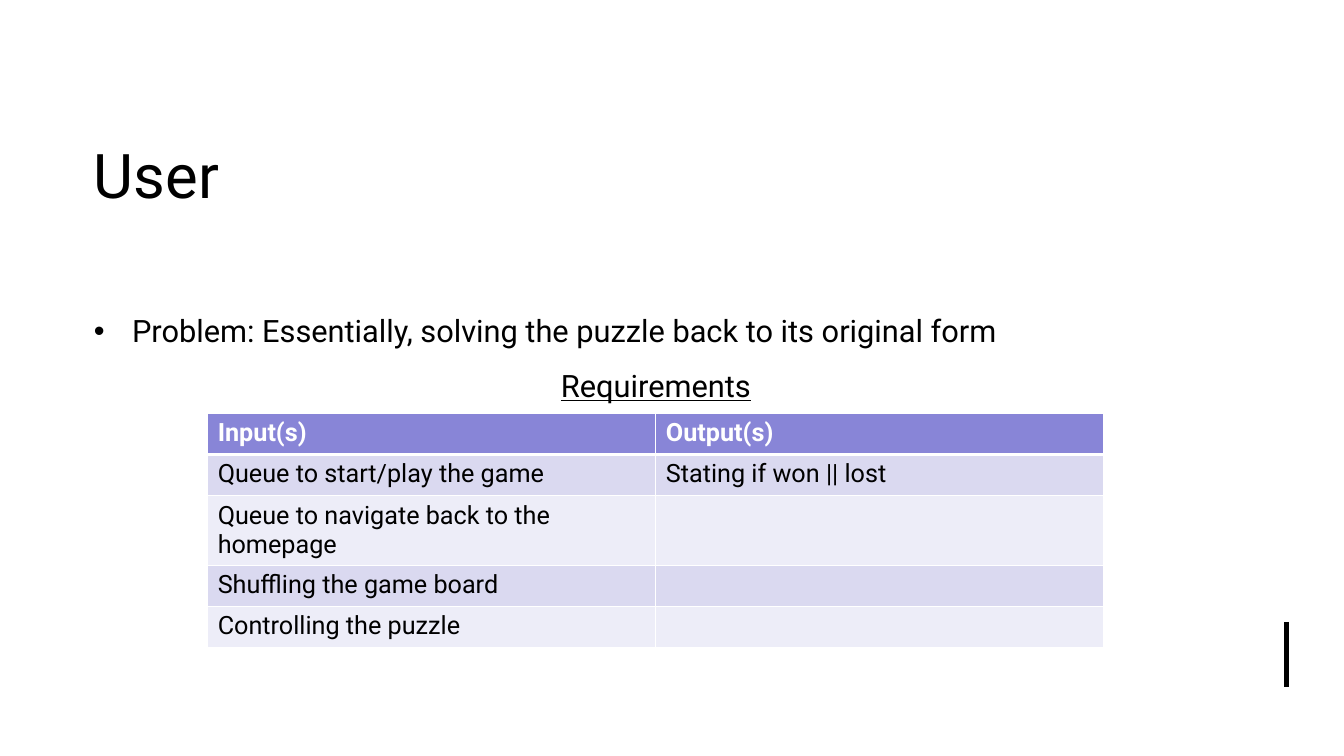
"""Build the User slide with its problem statement and requirements table."""
from dataclasses import dataclass

from lxml import etree
from pptx import Presentation
from pptx.dml.color import RGBColor
from pptx.enum.shapes import MSO_CONNECTOR
from pptx.enum.text import MSO_ANCHOR, MSO_AUTO_SIZE, PP_ALIGN
from pptx.oxml.ns import qn
from pptx.util import Inches, Pt

STRAIGHT = MSO_CONNECTOR.STRAIGHT
MIDDLE, TOP = MSO_ANCHOR.MIDDLE, MSO_ANCHOR.TOP
LEFT, CENTER = PP_ALIGN.LEFT, PP_ALIGN.CENTER
NO_AUTOFIT = MSO_AUTO_SIZE.NONE

TITLE = "User"
PROBLEM = "Problem: Essentially, solving the puzzle back to its original form"
CAPTION = "Requirements"
REQUIREMENTS = [
    ("Input(s)", "Output(s)"),
    ("Queue to start/play the game", "Stating if won || lost"),
    ("Queue to navigate back to the homepage", ""),
    ("Shuffling the game board", ""),
    ("Controlling the puzzle", ""),
]

SLIDE_SIZE = (13.33, 7.5)
TITLE_BOX = (0.83, 0.94, 11.35, 1.57)
BODY_BOX = (0.83, 3.01, 11.35, 3.57)
TABLE_LEFT, TABLE_TOP, TABLE_WIDTH, ROW_HEIGHT = 2.06, 4.1, 8.89, 0.41
ACCENT_X, ACCENT_TOP, ACCENT_BOTTOM = 12.76, 6.17, 6.82
BULLET_INDENT = 0.38


@dataclass(frozen=True)
class Theme:
    """Colours, font and type sizes of the slide."""
    font: str = "Roboto"
    ink: str = "000000"
    paper: str = "FFFFFF"
    header: str = "8885D7"
    bands: tuple = ("DAD9F0", "EDEDF8")
    title_size: int = 44
    body_size: int = 22
    table_size: int = 18
    thin: int = 1
    thick: int = 3


THEME = Theme()


def write(paragraph, text, size, color=THEME.ink, bold=False, underline=False,
          align=LEFT, line_spacing=None, space_before=None):
    """Put formatted text into a paragraph."""
    paragraph.alignment = align
    paragraph.line_spacing = line_spacing
    if space_before is not None:
        paragraph.space_before = Pt(space_before)
    run = paragraph.add_run()
    run.text = text
    font = run.font
    font.name, font.size = THEME.font, Pt(size)
    font.bold, font.underline = bold, underline
    font.color.rgb = RGBColor.from_string(color)


def set_bullet(paragraph, char=None, indent=0):
    """Give a paragraph a bullet with a hanging indent, or remove both."""
    properties = paragraph._p.get_or_add_pPr()
    properties.set("marL", str(Inches(indent)))
    properties.set("indent", str(-Inches(indent)))
    if char:
        etree.SubElement(properties, qn("a:buFont"), typeface="Arial")
        etree.SubElement(properties, qn("a:buChar"), char=char)
    else:
        etree.SubElement(properties, qn("a:buNone"))


def set_borders(cell, **widths):
    """Draw the cell's L, R, T and B borders in the paper colour."""
    properties = cell._tc.get_or_add_tcPr()
    for side in "LRTB":
        width = Pt(widths.get(side, THEME.thin))
        line = etree.SubElement(properties, qn(f"a:ln{side}"), w=str(width))
        fill = etree.SubElement(line, qn("a:solidFill"))
        etree.SubElement(fill, qn("a:srgbClr"), val=THEME.paper)


def place(placeholder, box, anchor):
    """Move a placeholder and return its text frame."""
    placeholder.left, placeholder.top, placeholder.width, placeholder.height = map(Inches, box)
    frame = placeholder.text_frame
    frame.word_wrap = True
    frame.auto_size = NO_AUTOFIT
    frame.vertical_anchor = anchor
    return frame


def add_accent(slide):
    """Draw the short vertical bar at the lower right."""
    accent = slide.shapes.add_connector(
        STRAIGHT, Inches(ACCENT_X), Inches(ACCENT_TOP), Inches(ACCENT_X), Inches(ACCENT_BOTTOM))
    accent.line.color.rgb = RGBColor.from_string(THEME.ink)
    accent.line.width = Pt(THEME.thick)
    etree.SubElement(accent._element.spPr, qn("a:effectLst"))


def add_body(slide):
    """Write the problem and the table caption."""
    body = place(slide.placeholders[1], BODY_BOX, TOP)
    spacing = {"line_spacing": 1.1, "space_before": 10}
    problem = body.paragraphs[0]
    write(problem, PROBLEM, THEME.body_size, **spacing)
    set_bullet(problem, "•", BULLET_INDENT)
    caption = body.add_paragraph()
    write(caption, CAPTION, THEME.body_size, underline=True, align=CENTER, **spacing)
    set_bullet(caption)


def add_requirements(slide):
    """Build the banded table of inputs and outputs."""
    rows, columns = len(REQUIREMENTS), len(REQUIREMENTS[0])
    table = slide.shapes.add_table(
        rows, columns, Inches(TABLE_LEFT), Inches(TABLE_TOP),
        Inches(TABLE_WIDTH), Inches(ROW_HEIGHT * rows)).table
    for row, entries in enumerate(REQUIREMENTS):
        is_header = row == 0
        fill = THEME.header if is_header else THEME.bands[(row - 1) % len(THEME.bands)]
        heavy = {0: {"B": THEME.thick}, 1: {"T": THEME.thick}}.get(row, {})
        for column, entry in enumerate(entries):
            cell = table.cell(row, column)
            set_borders(cell, **heavy)
            cell.fill.solid()
            cell.fill.fore_color.rgb = RGBColor.from_string(fill)
            if entry:
                write(cell.text_frame.paragraphs[0], entry, THEME.table_size,
                      color=THEME.paper if is_header else THEME.ink, bold=is_header)


def main():
    """Assemble and save the slide."""
    deck = Presentation()
    deck.slide_width, deck.slide_height = map(Inches, SLIDE_SIZE)
    slide = deck.slides.add_slide(deck.slide_layouts[1])
    add_accent(slide)
    title = place(slide.shapes.title, TITLE_BOX, MIDDLE)
    write(title.paragraphs[0], TITLE, THEME.title_size)
    add_body(slide)
    add_requirements(slide)
    deck.save("out.pptx")


if __name__ == "__main__":
    main()
